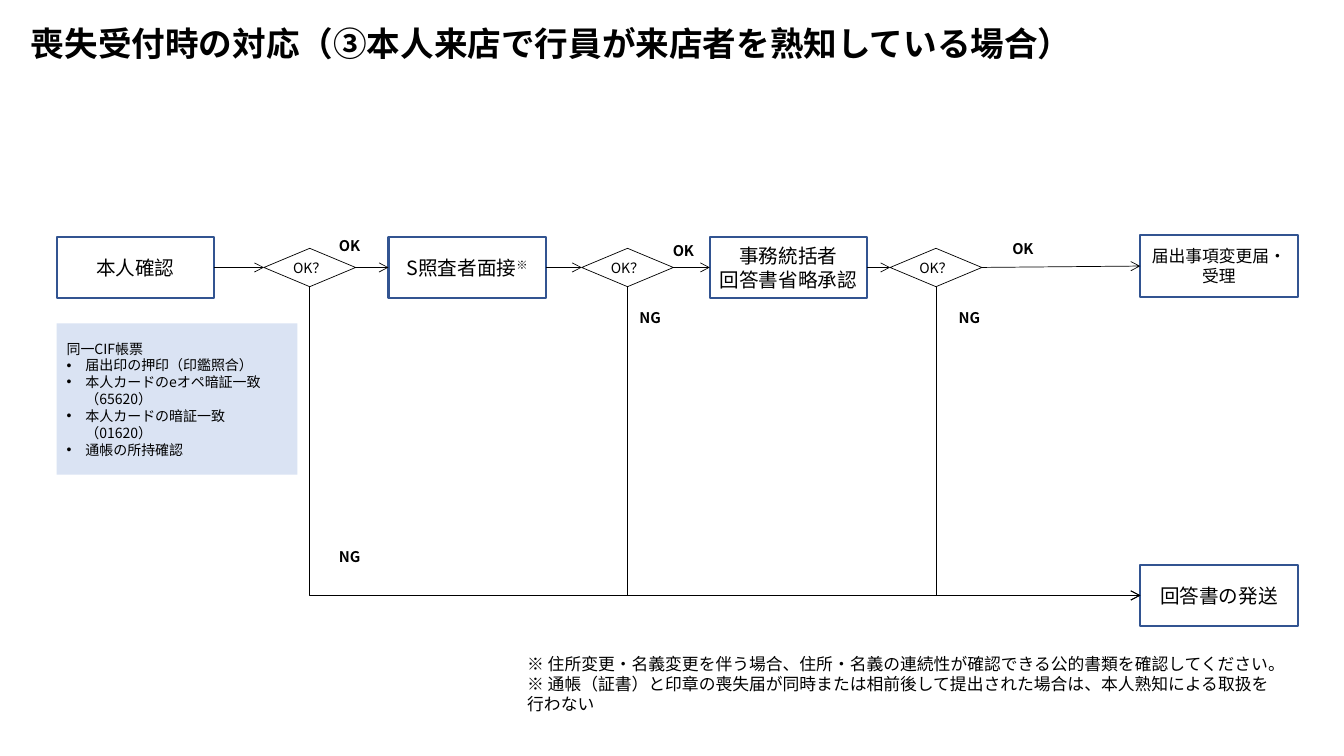
from lxml import etree
from pptx import Presentation
from pptx.dml.color import RGBColor
from pptx.enum.shapes import MSO_CONNECTOR, MSO_SHAPE
from pptx.enum.text import MSO_ANCHOR, PP_ALIGN
from pptx.oxml.ns import qn
from pptx.util import Pt

FONT = "Noto Sans CJK JP"
BLACK = RGBColor(0x00, 0x00, 0x00)
WHITE = RGBColor(0xFF, 0xFF, 0xFF)
BLUE = RGBColor(0x32, 0x54, 0x91)
PALE_BLUE = RGBColor(0xDA, 0xE3, 0xF3)
RECT, DECISION = MSO_SHAPE.RECTANGLE, MSO_SHAPE.FLOWCHART_DECISION
STRAIGHT, ELBOW = MSO_CONNECTOR.STRAIGHT, MSO_CONNECTOR.ELBOW
LEFT, CENTER = PP_ALIGN.LEFT, PP_ALIGN.CENTER
MIDDLE = MSO_ANCHOR.MIDDLE

# Connection sites of rectangles and decisions
SITE_LEFT, SITE_BOTTOM, SITE_RIGHT = 1, 2, 3

BOX_W, BOX_H = 112.4, 44.1
DECISION_W, DECISION_H = 65.5, 27.4


def style_run(r, size, bold=False):
    r.font.size, r.font.bold, r.font.name = Pt(size), bold, FONT
    r.font.color.rgb = BLACK
    etree.SubElement(r.font._element, qn("a:ea"), typeface=FONT)


def write(sp, lines, size, align=LEFT, bold=False, wrap=True):
    tf = sp.text_frame
    tf.word_wrap, tf.vertical_anchor = wrap, MIDDLE
    tf.text = "\n".join(lines)
    for p in tf.paragraphs:
        p.alignment = align
        for r in p.runs:
            style_run(r, size, bold)
    return tf


def add_text(s, box, lines, size, bold=False):
    sp = s.shapes.add_textbox(*map(Pt, box))
    return write(sp, lines, size, bold=bold)


def add_block(s, kind, box, fill=None, line=None, width=0):
    sp = s.shapes.add_shape(kind, *map(Pt, box))
    sp.shadow.inherit = False
    if fill is None:
        sp.fill.background()
    else:
        sp.fill.solid()
        sp.fill.fore_color.rgb = fill
    if line is None:
        sp.line.fill.background()
    else:
        sp.line.color.rgb, sp.line.width = line, Pt(width)
    return sp


def add_step(s, x, y, lines, size=14, wrap=True):
    sp = add_block(s, RECT, (x, y, BOX_W, BOX_H), WHITE, BLUE, 1.5)
    write(sp, lines, size, CENTER, wrap=wrap)
    return sp


def add_decision(s, x, y):
    sp = add_block(s, DECISION, (x, y, DECISION_W, DECISION_H), None, BLACK, 0.5)
    write(sp, ["OK？"], 10, CENTER, wrap=False)
    return sp


def add_arrow(s, kind, start, start_site, end):
    c = s.shapes.add_connector(kind, 0, 0, 0, 0)
    c.begin_connect(start, start_site)
    c.end_connect(end, SITE_LEFT)
    c.line.color.rgb, c.line.width = BLACK, Pt(0.5)
    ln = c.line._get_or_add_ln()
    etree.SubElement(ln, qn("a:tailEnd"), type="arrow")
    etree.SubElement(c._element.spPr, qn("a:effectLst"))
    return c


def add_ng_arrow(s, start, end):
    """Runs down from the decision, then right to the end box."""
    c = add_arrow(s, ELBOW, start, SITE_BOTTOM, end)
    w, h = c.width, c.height
    # A single-bend connector is stored turned by 270 degrees about its centre
    c.left, c.top = c.left + (w - h) // 2, c.top + (h - w) // 2
    c.width, c.height = h, w
    xfrm = c._element.spPr.find(qn("a:xfrm"))
    xfrm.set("rot", "16200000")
    xfrm.set("flipH", "1")
    c._element.spPr.find(qn("a:prstGeom")).set("prst", "bentConnector2")


def add_flow(s, x, y):
    """Top row of steps and decisions, with the dispatch box below."""
    decision_y = y + (BOX_H - DECISION_H) / 2
    identity = add_step(s, x, y, ["本人確認"])
    interview = add_step(s, x + 237, y, ["S照査者面接"], wrap=False)
    approval = add_step(s, x + 466.5, y, ["事務統括者", "回答書省略承認"], wrap=False)
    accept = add_step(s, x + 774, y - 1, ["届出事項変更届・", "受理"], 12)
    dispatch = add_step(s, x + 774, y + 234.3, ["回答書の発送"])

    # Superscript note mark
    r = interview.text_frame.paragraphs[0].add_run()
    r.text = "※"
    style_run(r, 14)
    r.font._element.set("baseline", "30000")

    decisions = [add_decision(s, x + dx, decision_y) for dx in (148, 375, 595.3)]
    steps = [identity, interview, approval, accept]
    for before, decision, after in zip(steps, decisions, steps[1:]):
        add_arrow(s, STRAIGHT, before, SITE_RIGHT, decision)
        add_arrow(s, STRAIGHT, decision, SITE_RIGHT, after)
        add_ng_arrow(s, decision, dispatch)

    # Branch labels
    for text, dx, dy, w in (
        ("OK", 194.5, -5, 94), ("OK", 433, -1.5, 47), ("OK", 675.5, -2.7, 47),
        ("NG", 194.5, 216.8, 94), ("NG", 409.2, 46.3, 47), ("NG", 637.2, 46.3, 47),
    ):
        add_text(s, (x + dx, y + dy, w, 23), [text], 10.5, bold=True)


def add_checklist(s, box):
    sp = add_block(s, RECT, box, PALE_BLUE)
    tf = write(sp, [
        "同一CIF帳票",
        "届出印の押印（印鑑照合）",
        "本人カードのeオペ暗証一致（65620）",
        "本人カードの暗証一致（01620）",
        "通帳の所持確認",
    ], 10)
    for p in tf.paragraphs[1:]:
        pPr = p._p.get_or_add_pPr()
        pPr.set("marL", str(Pt(13.5)))
        pPr.set("indent", str(-Pt(13.5)))
        etree.SubElement(pPr, qn("a:buFont"), typeface="Arial")
        etree.SubElement(pPr, qn("a:buChar"), char="•")


def main():
    prs = Presentation()
    prs.slide_width, prs.slide_height = Pt(960), Pt(540)
    s = prs.slides.add_slide(prs.slide_layouts[6])

    # Title
    title = ["喪失受付時の対応（③本人来店で行員が来店者を熟知している場合）"]
    tf = add_text(s, (15, 8, 828, 49), title, 24, bold=True)
    tf.paragraphs[0].line_spacing = 0.9

    add_flow(s, 40.5, 169)
    add_checklist(s, (40.5, 231, 172, 108))

    # Footnotes
    add_text(s, (369.5, 471.6, 552.5, 34), [
        "※ 住所変更・名義変更を伴う場合、住所・名義の連続性が確認できる公的書類を確認してください。",
        "※ 通帳（証書）と印章の喪失届が同時または相前後して提出された場合は、本人熟知による取扱を行わない",
    ], 12)

    prs.save("out.pptx")


if __name__ == "__main__":
    main()
